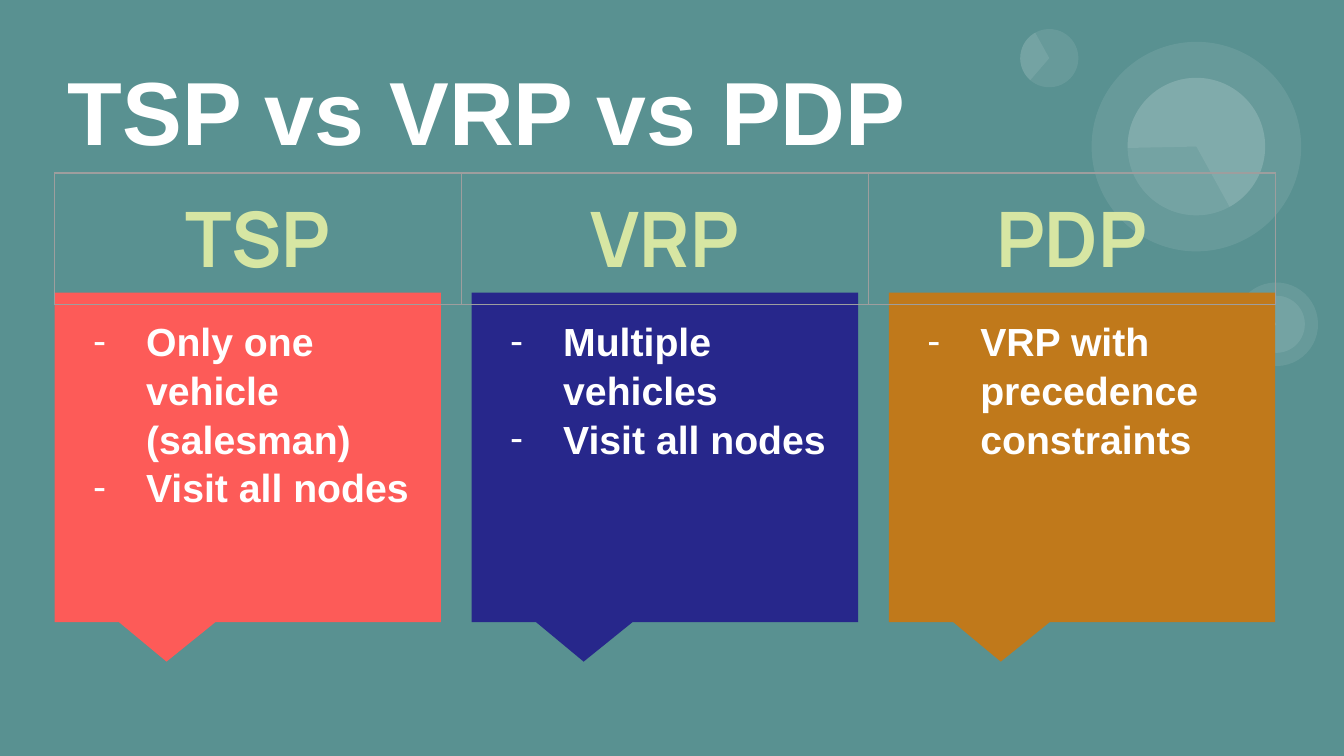
from lxml import etree
from pptx import Presentation
from pptx.dml.color import RGBColor
from pptx.enum.shapes import MSO_SHAPE
from pptx.enum.text import MSO_ANCHOR, PP_ALIGN
from pptx.oxml.ns import qn
from pptx.util import Cm, Pt

DISC, PIE = MSO_SHAPE.OVAL, MSO_SHAPE.PIE
CALLOUT = MSO_SHAPE.RECTANGULAR_CALLOUT
TOP, MIDDLE = MSO_ANCHOR.TOP, MSO_ANCHOR.MIDDLE
LEFT, CENTER = PP_ALIGN.LEFT, PP_ALIGN.CENTER
HUES = {"back": "599191", "white": "FFFFFF", "head": "D7E6A3", "rule": "9E9E9E",
        "red": "FD5B58", "blue": "27278B", "gold": "C0791B"}
CARDS = [
    ("TSP", "red", ["Only one vehicle (salesman)", "Visit all nodes"]),
    ("VRP", "blue", ["Multiple vehicles", "Visit all nodes"]),
    ("PDP", "gold", ["VRP with precedence constraints"]),
]
PAD = 0.25


def tint(name):
    """Return the named colour."""
    return RGBColor.from_string(HUES[name])


def write(para, text, size, hue, face="Arial"):
    """Add one bold run to a paragraph."""
    run = para.add_run()
    run.text = text
    font = run.font
    font.name, font.size, font.bold = face, Pt(size), True
    font.color.rgb = tint(hue)


def inset(frame, anchor):
    """Wrap a text frame, with even margins."""
    frame.word_wrap = True
    frame.vertical_anchor = anchor
    frame.margin_left = frame.margin_right = Cm(PAD)
    frame.margin_top = frame.margin_bottom = Cm(PAD)


def add_form(slide, kind, box, hue):
    """Draw a flat shape without outline in a box."""
    form = slide.shapes.add_shape(kind, *map(Cm, box))
    form.shadow.inherit = False
    form.fill.solid()
    form.fill.fore_color.rgb = tint(hue)
    form.line.fill.background()
    return form


def add_glass(slide, kind, box, turn, angles=()):
    """Draw a turned, nearly clear white disc or pie."""
    form = add_form(slide, kind, box, "white")
    form.rotation = turn
    for spot, angle in enumerate(angles):
        form.adjustments[spot] = angle
    color = form.fill._xPr.find(f"{qn('a:solidFill')}/{qn('a:srgbClr')}")
    etree.SubElement(color, qn("a:alpha"), val="9000")


def add_dial(slide, box, turn, start=None, rim=0):
    """Draw a disc with an optional pie and an optional wider rim."""
    left, top, side = box
    area = (left, top, side, side)
    add_glass(slide, DISC, area, turn)
    if start is not None:
        add_glass(slide, PIE, area, turn, (start, 123.14))
    if rim:
        wide = side + 2 * rim
        add_glass(slide, DISC, (left - rim, top - rim, wide, wide), turn)


def add_title(slide, box, text):
    """Place and fill the title."""
    title = slide.shapes.title
    title.left, title.top, title.width, title.height = map(Cm, box)
    inset(title.text_frame, MIDDLE)
    para = title.text_frame.paragraphs[0]
    para.alignment = LEFT
    write(para, text, 48, "white")


def add_dash(para):
    """Give a paragraph a hanging white dash."""
    props = para._p.get_or_add_pPr()
    props.set("marL", str(Cm(1.27)))
    props.set("indent", str(-Cm(1)))
    color = etree.SubElement(props, qn("a:buClr"))
    etree.SubElement(color, qn("a:srgbClr"), val=HUES["white"])
    etree.SubElement(props, qn("a:buFont"), typeface="Arial")
    etree.SubElement(props, qn("a:buChar"), char="-")


def add_card(slide, box, hue, points):
    """Draw a callout with a dashed list."""
    left, top, width, height = box
    card = add_form(slide, CALLOUT, box, hue)
    card.adjustments[0], card.adjustments[1] = -0.21, 0.62
    area = (left + 0.21, top + 0.18, width - 0.42, height - 0.69)
    frame = slide.shapes.add_textbox(*map(Cm, area)).text_frame
    inset(frame, TOP)
    for spot, point in enumerate(points):
        para = frame.add_paragraph() if spot else frame.paragraphs[0]
        add_dash(para)
        para.line_spacing = 1.04
        write(para, point, 21, "white")


def add_rules(cell):
    """Draw thin lines on all sides of a cell."""
    props = cell._tc.get_or_add_tcPr()
    for side in "LRTB":
        line = etree.SubElement(props, qn(f"a:ln{side}"), w=str(Pt(0.75)))
        fill = etree.SubElement(line, qn("a:solidFill"))
        etree.SubElement(fill, qn("a:srgbClr"), val=HUES["rule"])


def add_heads(slide, box, names):
    """Place the row of column heads as a table."""
    table = slide.shapes.add_table(1, len(names), *map(Cm, box)).table
    table.first_row = table.horz_banding = False
    for cell, name in zip(table.iter_cells(), names):
        add_rules(cell)
        cell.fill.background()
        cell.margin_left = cell.margin_right = Cm(PAD)
        cell.margin_top = cell.margin_bottom = Cm(PAD)
        para = cell.text_frame.paragraphs[0]
        para.alignment = CENTER
        write(para, name, 41, "head", "Manrope")


def add_cards(slide, box, gap):
    """Spread the callouts evenly over a box."""
    left, top, width, height = box
    wide = (width - gap * (len(CARDS) - 1)) / len(CARDS)
    for spot, (_, hue, points) in enumerate(CARDS):
        add_card(slide, (left + spot * (wide + gap), top, wide, height), hue, points)


def main():
    """Build and save the slide."""
    deck = Presentation()
    deck.slide_width, deck.slide_height = Cm(25.4), Cm(14.29)
    slide = deck.slides.add_slide(deck.slide_layouts[5])
    slide.background.fill.solid()
    slide.background.fill.fore_color.rgb = tint("back")
    add_dial(slide, (21.31, 1.47, 2.6), 215.9, 193.77, 0.68)
    add_dial(slide, (23.58, 5.59, 1.08), 35.8, 57, 0.25)
    add_dial(slide, (19.28, 0.55, 1.1), 35.8, 57)
    add_title(slide, (1.03, 0.65, 23.95, 2.84), "TSP vs VRP vs PDP")
    add_cards(slide, (1.03, 5.53, 23.07, 6.23), 0.58)
    add_heads(slide, (1.03, 3.27, 23.07, 2.48), [name for name, _, _ in CARDS])
    deck.save("out.pptx")


if __name__ == "__main__":
    main()
